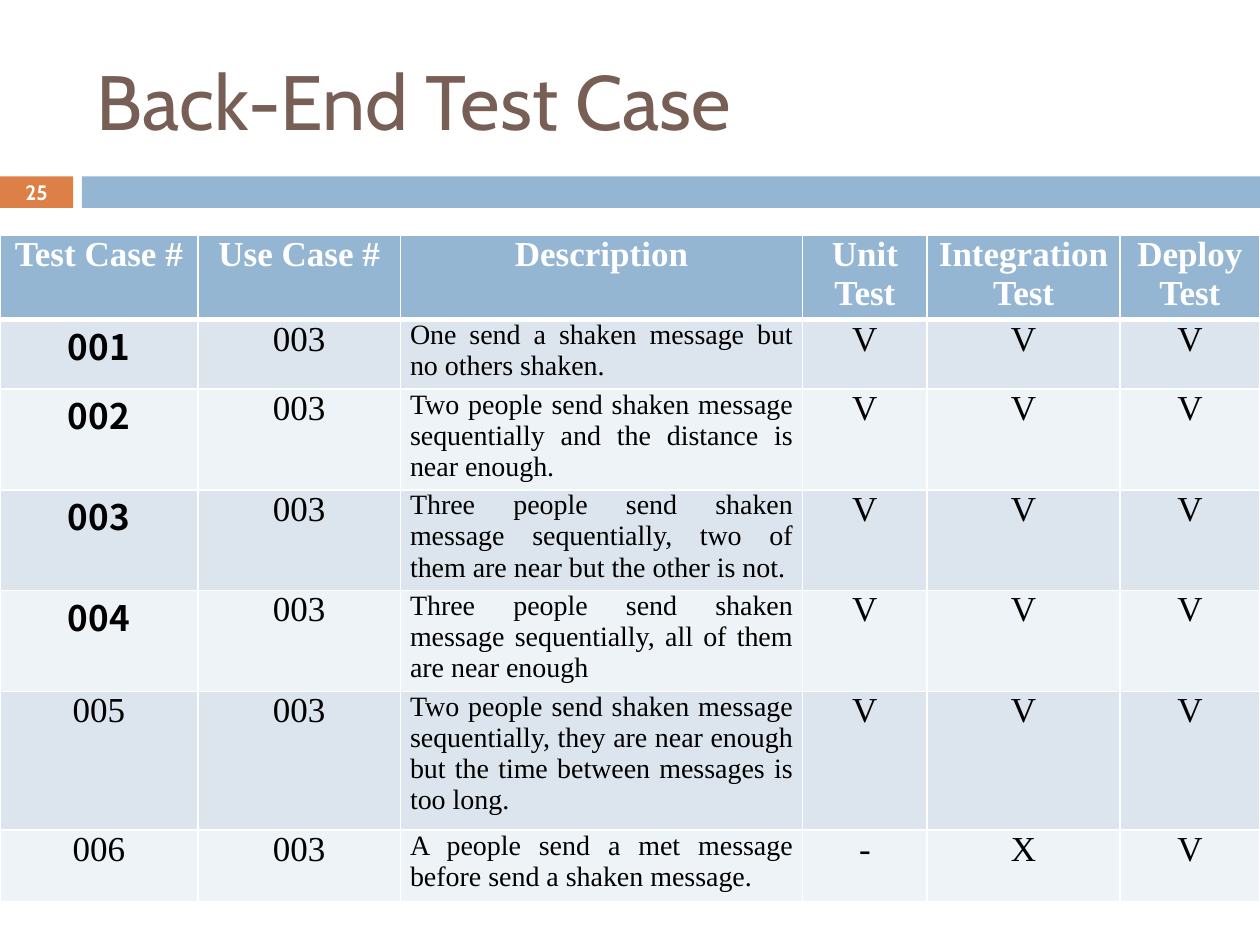
from typing import NamedTuple

from lxml import etree
from pptx import Presentation
from pptx.dml.color import RGBColor
from pptx.enum.shapes import MSO_SHAPE
from pptx.enum.text import MSO_ANCHOR, PP_ALIGN
from pptx.oxml.ns import qn
from pptx.util import Inches, Pt

RECTANGLE = MSO_SHAPE.RECTANGLE
MIDDLE = MSO_ANCHOR.MIDDLE
LEFT, CENTER, JUSTIFY = PP_ALIGN.LEFT, PP_ALIGN.CENTER, PP_ALIGN.JUSTIFY

WHITE, BLACK, BROWN = "FFFFFF", "000000", "775F55"
ORANGE, BLUE = "DD8047", "94B6D2"
BAND_FILLS = ("DCE5EE", "EEF3F7")


class Box(NamedTuple):
    left: float
    top: float
    width: float
    height: float


class TextStyle(NamedTuple):
    font: str
    size: float
    color: str
    bold: bool = False
    align: PP_ALIGN = CENTER


class TestCase(NamedTuple):
    number: str
    use_case: str
    description: str
    unit: str
    integration: str
    deploy: str


TITLE = TextStyle("Cabin", 44, BROWN, align=LEFT)
PAGE_NUMBER = TextStyle("Cabin", 11.9, WHITE, bold=True)
HEADER = TextStyle("Times New Roman", 20, WHITE, bold=True)
BODY = TextStyle("Times New Roman", 20, BLACK)
DESCRIPTION = TextStyle("Times New Roman", 16, BLACK, align=JUSTIFY)
BOLD_NUMBER = TextStyle("Noto Sans CJK SC", 20, BLACK, bold=True)
BOLD_NUMBERS = ("001", "002", "003", "004")

HEADINGS = ("Test Case #", "Use Case #", "Description",
            "Unit Test", "Integration Test", "Deploy Test")
TEST_CASES = (
    TestCase("001", "003", "One send a shaken message but no others shaken.",
             "V", "V", "V"),
    TestCase("002", "003", "Two people send shaken message sequentially and "
             "the distance is near enough.", "V", "V", "V"),
    TestCase("003", "003", "Three people send shaken message sequentially, "
             "two of them are near but the other is not.", "V", "V", "V"),
    TestCase("004", "003", "Three people send shaken message sequentially, "
             "all of them are near enough", "V", "V", "V"),
    TestCase("005", "003", "Two people send shaken message sequentially, they "
             "are near enough but the time between messages is too long.",
             "V", "V", "V"),
    TestCase("006", "003", "A people send a met message before send a shaken "
             "message.", "-", "X", "V"),
)
COLUMN_WIDTHS = (1.57, 1.61, 3.19, 0.99, 1.53, 1.11)
ROW_HEIGHTS = (0.55, 0.55, 0.66, 0.66, 0.7, 1.1, 0.57)
CELL_MARGIN = Pt(5.4)


def rgb(color: str) -> RGBColor:
    return RGBColor.from_string(color)


def emu(box: Box) -> list:
    return [Inches(length) for length in box]


def write(frame, text: str, style: TextStyle) -> None:
    para = frame.paragraphs[0]
    para.alignment = style.align
    span = para.add_run()
    span.text = text
    span.font.name = style.font
    span.font.size = Pt(style.size)
    span.font.bold = style.bold
    span.font.color.rgb = rgb(style.color)


def add_bar(page, box: Box, color: str) -> None:
    bar = page.shapes.add_shape(RECTANGLE, *emu(box))
    bar.shadow.inherit = False
    bar.fill.solid()
    bar.fill.fore_color.rgb = rgb(color)
    bar.line.fill.background()


def add_text(page, box: Box, text: str, style: TextStyle) -> None:
    frame = page.shapes.add_textbox(*emu(box)).text_frame
    frame.word_wrap = True
    frame.vertical_anchor = MIDDLE
    write(frame, text, style)


def add_borders(cell, top: float, bottom: float) -> None:
    properties = cell._tc.get_or_add_tcPr()
    for side, points in (("L", 1), ("R", 1), ("T", top), ("B", bottom)):
        line = etree.SubElement(properties, qn(f"a:ln{side}"), w=str(Pt(points)))
        fill = etree.SubElement(line, qn("a:solidFill"))
        etree.SubElement(fill, qn("a:srgbClr"), val=WHITE)


def fill_cell(cell, text: str, style: TextStyle, fill: str,
              top: float = 1, bottom: float = 1) -> None:
    cell.margin_left = cell.margin_right = CELL_MARGIN
    cell.margin_top = cell.margin_bottom = 0
    add_borders(cell, top, bottom)
    cell.fill.solid()
    cell.fill.fore_color.rgb = rgb(fill)
    write(cell.text_frame, text, style)


def body_style(column: int, text: str) -> TextStyle:
    if column == 0 and text in BOLD_NUMBERS:
        return BOLD_NUMBER
    return DESCRIPTION if column == 2 else BODY


def add_test_table(page) -> None:
    box = Box(0, 1.87, 10, 5.4)
    frame = page.shapes.add_table(
        len(ROW_HEIGHTS), len(COLUMN_WIDTHS), *emu(box))
    table = frame.table
    for column, width in zip(table.columns, COLUMN_WIDTHS):
        column.width = Inches(width)
    for row, height in zip(table.rows, ROW_HEIGHTS):
        row.height = Inches(height)
    frame.height = Inches(box.height)

    for column, heading in enumerate(HEADINGS):
        fill_cell(table.cell(0, column), heading, HEADER, BLUE, bottom=3)
    for row, case in enumerate(TEST_CASES, start=1):
        fill = BAND_FILLS[(row - 1) % 2]
        for column, text in enumerate(case):
            fill_cell(table.cell(row, column), text, body_style(column, text),
                      fill, top=3 if row == 1 else 1)


def main() -> None:
    deck = Presentation()
    deck.slide_width, deck.slide_height = Inches(10), Inches(7.5)
    page = deck.slides.add_slide(deck.slide_layouts[6])

    # Band below the title
    add_bar(page, Box(0, 1.4, 0.58, 0.25), ORANGE)
    add_bar(page, Box(0.65, 1.4, 9.35, 0.25), BLUE)

    # Title and page number
    add_text(page, Box(0.67, 0.25, 8.92, 1.08), "Back-End Test Case", TITLE)
    add_text(page, Box(0, 1.39, 0.58, 0.27), "25", PAGE_NUMBER)

    # Test cases
    add_test_table(page)

    deck.save("out.pptx")


if __name__ == "__main__":
    main()
